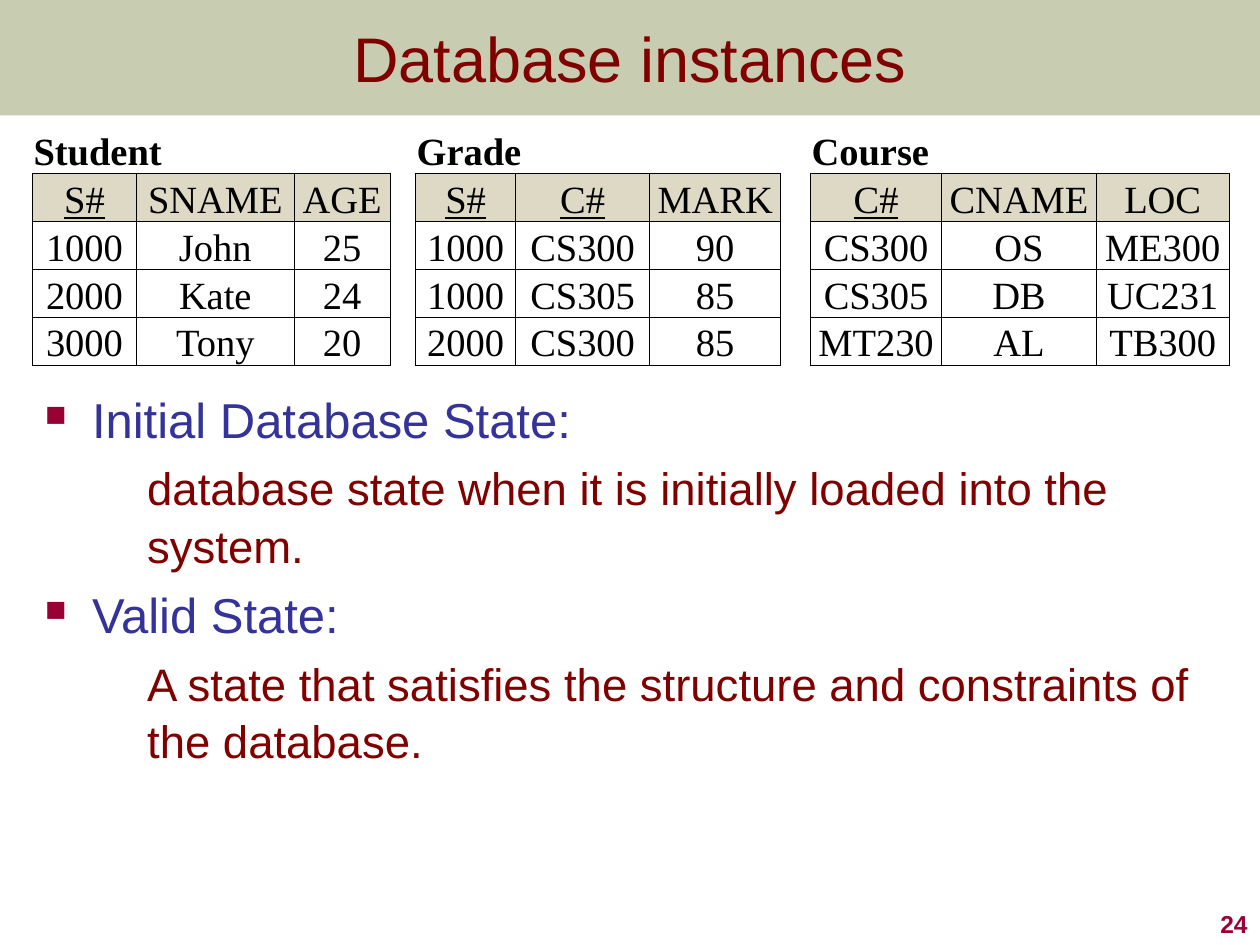
from dataclasses import dataclass

from lxml.etree import SubElement
from pptx import Presentation
from pptx.dml.color import RGBColor
from pptx.enum.shapes import MSO_SHAPE
from pptx.enum.text import MSO_ANCHOR, MSO_AUTO_SIZE, PP_ALIGN
from pptx.oxml.ns import qn
from pptx.util import Pt


@dataclass(frozen=True)
class Theme:
    sans: str = "Arial"
    serif: str = "Times New Roman"
    olive: str = "677228"
    maroon: str = "800000"
    crimson: str = "990033"
    indigo: str = "333399"
    black: str = "000000"
    white: str = "FFFFFF"
    header_fill: str = "DDD9C4"
    title_size: float = 36
    term_size: float = 28
    definition_size: float = 26
    table_size: float = 22
    number_size: float = 14


THEME = Theme()
SLIDE_WIDTH, SLIDE_HEIGHT = 720, 540
BAND_HEIGHT = 66
ROW_HEIGHT = 27.36
NO_GRID_STYLE = "{2D5ABB26-0587-4C30-8999-92F81FD0307C}"

# Each relation: name, column widths, key columns, header and tuples.
RELATIONS = [
    ("Student", [59.5, 90, 55], {"S#"},
     [["S#", "SNAME", "AGE"], ["1000", "John", "25"],
      ["2000", "Kate", "24"], ["3000", "Tony", "20"]]),
    ("Grade", [57.3, 76.5, 75], {"S#", "C#"},
     [["S#", "C#", "MARK"], ["1000", "CS300", "90"],
      ["1000", "CS305", "85"], ["2000", "CS300", "85"]]),
    ("Course", [75, 88.3, 76], {"C#"},
     [["C#", "CNAME", "LOC"], ["CS300", "OS", "ME300"],
      ["CS305", "DB", "UC231"], ["MT230", "AL", "TB300"]]),
]
RELATION_GAPS = [14.4, 17]

DEFINITIONS = [
    ("Initial Database State:",
     "database state when it is initially loaded into the system."),
    ("Valid State:",
     "A state that satisfies the structure and constraints of the database."),
]


def write_text(paragraph, text, *, size, color, font=THEME.sans, bold=False,
               underline=False, align=PP_ALIGN.LEFT):
    paragraph.alignment = align
    run = paragraph.add_run()
    run.text = text
    run.font.name = font
    run.font.size = Pt(size)
    run.font.bold = bold
    run.font.underline = underline
    run.font.color.rgb = RGBColor.from_string(color)


def add_title_band(slide):
    """Draw the translucent band and send it behind the title."""
    band = slide.shapes.add_shape(MSO_SHAPE.RECTANGLE, 0, 0,
                                  Pt(SLIDE_WIDTH), Pt(BAND_HEIGHT))
    band.shadow.inherit = False
    band.line.fill.background()
    band.fill.solid()
    band.fill.fore_color.rgb = RGBColor.from_string(THEME.olive)
    color = band.fill._xPr.find(".//" + qn("a:srgbClr"))
    SubElement(color, qn("a:alpha"), val="36000")
    slide.shapes._spTree.insert(2, band._element)


def add_title(slide, text):
    title = slide.shapes.title
    title.left, title.top = Pt(0), Pt(0)
    title.width, title.height = Pt(SLIDE_WIDTH), Pt(BAND_HEIGHT)
    frame = title.text_frame
    frame.auto_size = MSO_AUTO_SIZE.NONE
    frame.vertical_anchor = MSO_ANCHOR.MIDDLE
    write_text(frame.paragraphs[0], text, size=THEME.title_size,
               color=THEME.maroon, align=PP_ALIGN.CENTER)


def add_text_frame(slide, left, top, width, height):
    box = slide.shapes.add_textbox(Pt(left), Pt(top), Pt(width), Pt(height))
    box.text_frame.word_wrap = True
    return box.text_frame


def set_borders(cell, sides):
    properties = cell._tc.get_or_add_tcPr()
    for side in sides:
        line = SubElement(properties, qn(f"a:ln{side}"), w=str(Pt(0.5)))
        fill = SubElement(line, qn("a:solidFill"))
        SubElement(fill, qn("a:srgbClr"), val=THEME.black)


def style_cell(cell, borders="", fill=THEME.white):
    set_borders(cell, borders)
    cell.fill.solid()
    cell.fill.fore_color.rgb = RGBColor.from_string(fill)
    cell.vertical_anchor = MSO_ANCHOR.BOTTOM
    cell.margin_left = cell.margin_right = cell.margin_top = Pt(0.72)
    cell.margin_bottom = Pt(0)


def fill_relation(table, first_column, name, keys, rows):
    """Write one relation: its merged name row, then header and tuples."""
    name_cell = table.cell(0, first_column)
    last_column = first_column + len(rows[0]) - 1
    for column in range(first_column, last_column + 1):
        style_cell(table.cell(0, column), borders="B")
    name_cell.merge(table.cell(0, last_column))
    write_text(name_cell.text_frame.paragraphs[0], name, bold=True,
               size=THEME.table_size, color=THEME.black, font=THEME.serif)
    for r, row in enumerate(rows, start=1):
        for column, value in enumerate(row, start=first_column):
            cell = table.cell(r, column)
            style_cell(cell, borders="LRTB",
                       fill=THEME.header_fill if r == 1 else THEME.white)
            write_text(cell.text_frame.paragraphs[0], value,
                       size=THEME.table_size, color=THEME.black,
                       font=THEME.serif, underline=r == 1 and value in keys,
                       align=PP_ALIGN.CENTER)


def add_relations(slide):
    """Place all relations side by side in one table with spacer columns."""
    widths, starts = [], []
    for index, (_, relation_widths, _, _) in enumerate(RELATIONS):
        if index:
            widths.append(RELATION_GAPS[index - 1])
        starts.append(len(widths))
        widths += relation_widths
    row_count = 1 + len(RELATIONS[0][3])
    table = slide.shapes.add_table(
        row_count, len(widths), Pt(18.5), Pt(72),
        Pt(sum(widths)), Pt(row_count * ROW_HEIGHT)).table
    table.first_row = table.horz_banding = False
    table._tbl.tblPr.find(qn("a:tableStyleId")).text = NO_GRID_STYLE
    for column, width in zip(table.columns, widths):
        column.width = Pt(width)
    for row in table.rows:
        row.height = Pt(ROW_HEIGHT)
    for start, (name, _, keys, rows) in zip(starts, RELATIONS):
        fill_relation(table, start, name, keys, rows)
        if start:
            for r in range(row_count):
                style_cell(table.cell(r, start - 1),
                           borders="LR" if r else "")


def format_paragraph(paragraph, left, hanging=0, space_before=0, bullet=None):
    paragraph.line_spacing = 1.05
    paragraph.space_before = Pt(space_before)
    properties = paragraph._p.get_or_add_pPr()
    properties.set("marL", str(Pt(left)))
    properties.set("indent", str(Pt(-hanging)))
    if bullet:
        color = SubElement(properties, qn("a:buClr"))
        SubElement(color, qn("a:srgbClr"), val=THEME.crimson)
        SubElement(properties, qn("a:buSzPct"), val="60000")
        SubElement(properties, qn("a:buChar"), char=bullet)


def add_definitions(slide):
    frame = add_text_frame(slide, 18.5, 217.5, 682.5, 216)
    frame.margin_right = Pt(0)
    for index, (term, definition) in enumerate(DEFINITIONS):
        heading = frame.add_paragraph() if index else frame.paragraphs[0]
        format_paragraph(heading, 27, hanging=27, bullet="■",
                         space_before=5.6 if index else 0)
        write_text(heading, term, size=THEME.term_size, color=THEME.indigo)
        detail = frame.add_paragraph()
        format_paragraph(detail, 58.5, space_before=5.2)
        write_text(detail, definition, size=THEME.definition_size,
                   color=THEME.maroon)


def add_slide_number(slide, number):
    frame = add_text_frame(slide, 570, 504, 150, 36)
    frame.vertical_anchor = MSO_ANCHOR.BOTTOM
    write_text(frame.paragraphs[0], number, size=THEME.number_size,
               color=THEME.crimson, bold=True, align=PP_ALIGN.RIGHT)


def main():
    deck = Presentation()
    deck.slide_width, deck.slide_height = Pt(SLIDE_WIDTH), Pt(SLIDE_HEIGHT)
    slide = deck.slides.add_slide(deck.slide_layouts[5])
    add_title_band(slide)
    add_title(slide, "Database instances")
    add_slide_number(slide, "24")
    add_definitions(slide)
    add_relations(slide)
    deck.save("out.pptx")


if __name__ == "__main__":
    main()
